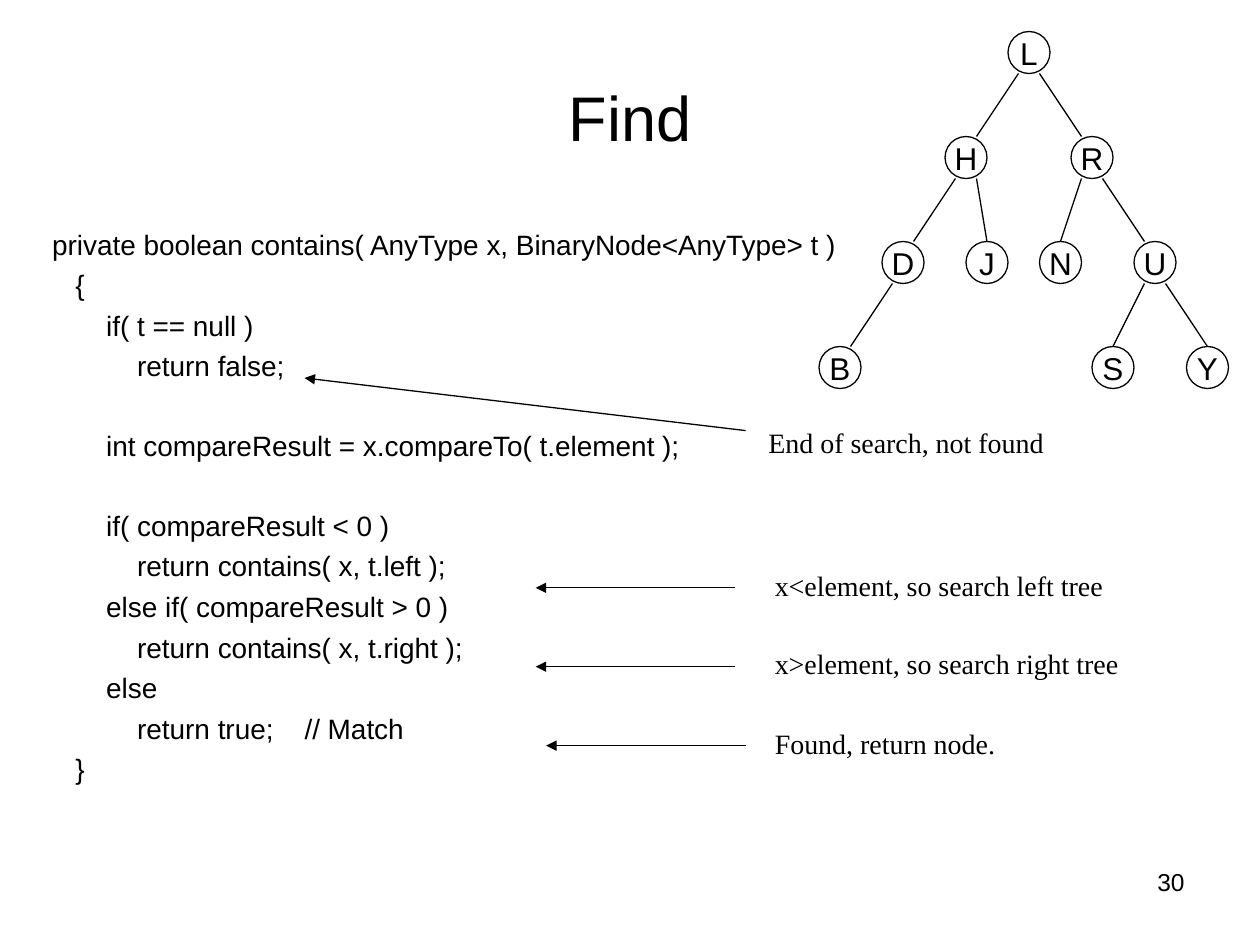
"""Build the slide on finding an element in a binary search tree."""
from dataclasses import dataclass
from typing import Any, Optional

from lxml.etree import SubElement
from pptx import Presentation
from pptx.dml.color import RGBColor
from pptx.enum.shapes import MSO_CONNECTOR, MSO_SHAPE
from pptx.enum.text import MSO_ANCHOR, MSO_AUTO_SIZE, PP_ALIGN
from pptx.oxml.ns import qn
from pptx.util import Cm, Pt

BLACK = "000000"
SANS, SERIF = "Arial", "Times New Roman"
UNIT = 2.54 / 12
DIAMETER, TOP, ROW_STEP = 4, 3, 10
CODE_GAP, CODE_BREAK = 4, 26.4

CODE = """\
 private boolean contains( AnyType x, BinaryNode<AnyType> t )
    {
        if( t == null )
            return false;

        int compareResult = x.compareTo( t.element );

        if( compareResult < 0 )
            return contains( x, t.left );
        else if( compareResult > 0 )
            return contains( x, t.right );
        else
            return true;    // Match
    }"""


@dataclass
class Node:
    label: str
    center: int
    row: int
    parent: Optional[str] = None
    joins_at_center: bool = False


@dataclass
class Note:
    text: str
    left: float
    top: float
    width: float
    start: tuple[float, float]
    end: tuple[float, float]


NODES = [
    Node("L", 98, 0),
    Node("H", 92, 1, "L"),
    Node("R", 104, 1, "L"),
    Node("D", 86, 2, "H"),
    Node("J", 94, 2, "H", True),
    Node("N", 101, 2, "R", True),
    Node("U", 110, 2, "R"),
    Node("S", 106, 3, "U", True),
    Node("Y", 115, 3, "U", True),
    Node("B", 80, 3, "D"),
]

NOTES = [
    Note("End of search, not found", 15.24, 8.46, 6.1, (15.03, 8.68), (6.14, 7.62)),
    Note("x<element, so search left tree", 15.37, 11.33, 7.16, (14.82, 11.85), (10.8, 11.85)),
    Note("x>element, so search right tree", 15.37, 12.9, 7.49, (14.82, 13.44), (10.8, 13.44)),
    Note("Found, return node.", 15.37, 14.53, 4.98, (15.03, 15.03), (11.01, 15.03)),
]


def rgb(color: str) -> RGBColor:
    return RGBColor.from_string(color)


def add_run(p: Any, text: str, size: float, font: str = SANS) -> None:
    r = p.add_run()
    r.text = text
    r.font.size = Pt(size)
    r.font.name = font
    r.font.color.rgb = rgb(BLACK)


def place(sp: Any, left: float, top: float, width: float, height: float) -> None:
    sp.left, sp.top, sp.width, sp.height = Cm(left), Cm(top), Cm(width), Cm(height)


def add_line(shapes: Any, start: tuple[float, float], end: tuple[float, float],
             arrow: bool = False) -> None:
    line = shapes.add_connector(MSO_CONNECTOR.STRAIGHT, *map(Cm, start + end))
    line.line.color.rgb = rgb(BLACK)
    line.line.width = Pt(0.75)
    props = line.element.spPr
    if arrow:
        SubElement(props.find(qn("a:ln")), qn("a:tailEnd"), type="triangle")
    SubElement(props, qn("a:effectLst"))


def add_text(shapes: Any, text: str, box: tuple[float, float, float, float], size: float,
             font: str = SANS, align: PP_ALIGN = PP_ALIGN.LEFT, wrap: bool = True) -> None:
    tf = shapes.add_textbox(*map(Cm, box)).text_frame
    tf.word_wrap = wrap
    if not wrap:
        tf.auto_size = MSO_AUTO_SIZE.SHAPE_TO_FIT_TEXT
    p = tf.paragraphs[0]
    p.alignment = align
    add_run(p, text, size, font)


def fill_title(sp: Any) -> None:
    place(sp, 1.27, 0.76, 22.86, 3.18)
    tf = sp.text_frame
    tf.vertical_anchor = MSO_ANCHOR.MIDDLE
    p = tf.paragraphs[0]
    p.alignment = PP_ALIGN.CENTER
    add_run(p, "Find", 36)


def fill_code(sp: Any) -> None:
    place(sp, 0.64, 4.45, 16.71, 12.57)
    tf = sp.text_frame
    tf.auto_size = MSO_AUTO_SIZE.NONE
    gap = 0
    for i, text in enumerate(CODE.split("\n")):
        if not text:
            gap = CODE_BREAK
            continue
        p = tf.add_paragraph() if i else tf.paragraphs[0]
        props = p._p.get_or_add_pPr()
        props.set("marL", str(Cm(0.95)))
        props.set("indent", str(Cm(-0.95)))
        p.space_before = Pt(gap)
        SubElement(props, qn("a:buNone"))
        add_run(p, text, 16)
        gap = CODE_GAP


def row_top(node: Node) -> int:
    return TOP + node.row * ROW_STEP


def add_node(shapes: Any, node: Node) -> None:
    box = (node.center - DIAMETER / 2, row_top(node), DIAMETER, DIAMETER)
    sp = shapes.add_shape(MSO_SHAPE.OVAL, *(Cm(v * UNIT) for v in box))
    sp.shadow.inherit = False
    sp.fill.background()
    sp.line.color.rgb = rgb(BLACK)
    sp.line.width = Pt(0.75)
    tf = sp.text_frame
    tf.word_wrap = False
    tf.vertical_anchor = MSO_ANCHOR.MIDDLE
    p = tf.paragraphs[0]
    p.alignment = PP_ALIGN.CENTER
    add_run(p, node.label, 18)


def add_edge(shapes: Any, parent: Node, child: Node) -> None:
    side = 1 if child.center > parent.center else -1
    end_x = child.center if child.joins_at_center else child.center - side
    add_line(shapes,
             ((parent.center + side) * UNIT, (row_top(parent) + DIAMETER) * UNIT),
             (end_x * UNIT, row_top(child) * UNIT))


def add_tree(shapes: Any, nodes: list[Node]) -> None:
    tree = shapes.add_group_shape().shapes
    by_label = {node.label: node for node in nodes}
    for node in nodes:
        add_node(tree, node)
    for node in nodes:
        if node.parent:
            add_edge(tree, by_label[node.parent], node)


def main() -> None:
    prs = Presentation()
    prs.slide_width, prs.slide_height = Cm(25.4), Cm(19.05)
    s = prs.slides.add_slide(prs.slide_layouts[1])
    fill_title(s.shapes.title)
    fill_code(s.placeholders[1])
    add_text(s.shapes, "30", (18.21, 17.35, 5.92, 1.32), 14, align=PP_ALIGN.RIGHT)
    for note in NOTES:
        add_line(s.shapes, note.start, note.end, arrow=True)
        add_text(s.shapes, note.text, (note.left, note.top, note.width, 0.94), 16, SERIF,
                 wrap=False)
    add_tree(s.shapes, NODES)
    prs.save("out.pptx")


if __name__ == "__main__":
    main()
